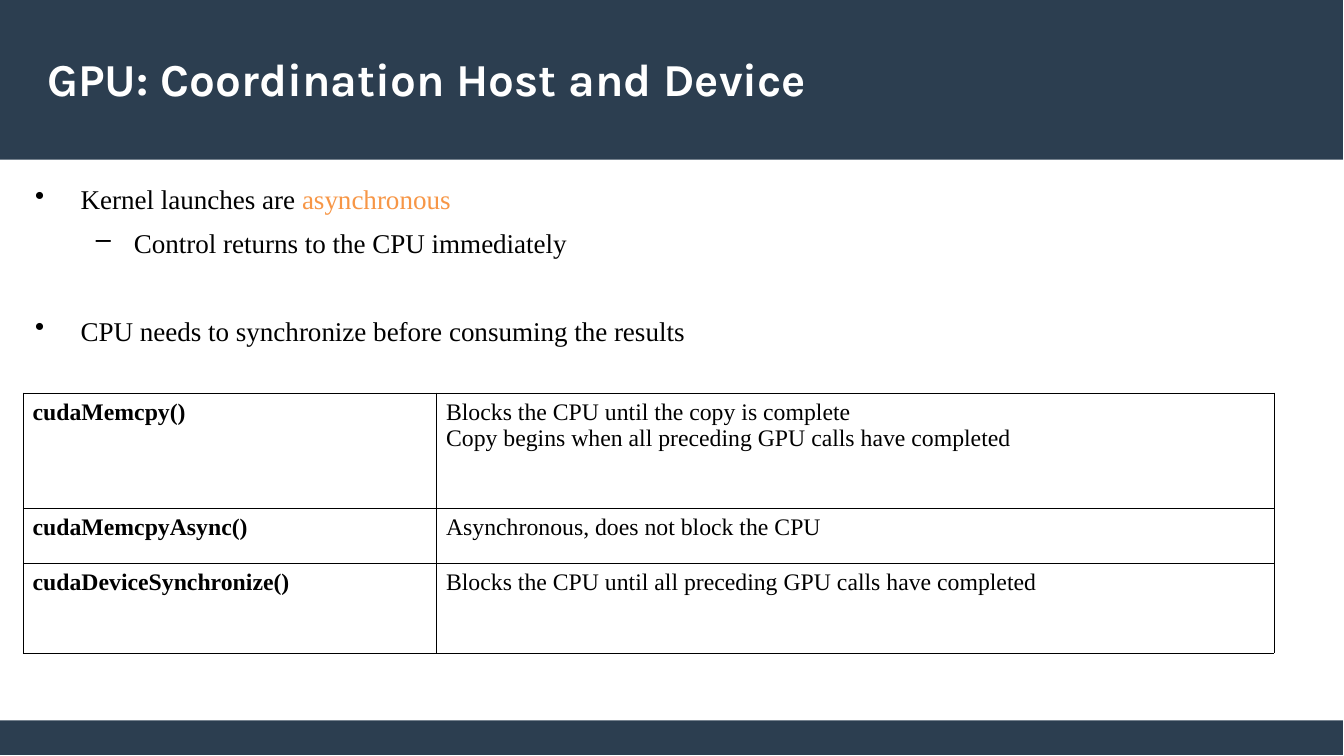
"""Build a slide on how GPU code coordinates host and device."""
from dataclasses import dataclass

from lxml.etree import SubElement
from pptx import Presentation
from pptx.dml.color import RGBColor as Rgb
from pptx.enum.shapes import MSO_SHAPE as Kind
from pptx.enum.text import MSO_ANCHOR as Anchor
from pptx.oxml.ns import qn
from pptx.util import Cm, Pt

NAVY, BLACK, WHITE, ORANGE = "2C3E50", "000000", "FFFFFF", "F79646"
SERIF = "Times New Roman"


@dataclass
class Bar:
    top: float
    height: float


@dataclass
class Point:
    runs: list[tuple[str, str]]
    mark: str = "•"
    level: int = 0
    left: float = 0.95
    hang: float = 0.95
    space: float = 0


@dataclass
class Row:
    call: str
    notes: list[str]
    height: float


BARS = [Bar(15.01, 0.72), Bar(0, 3.33)]
POINTS = [
    Point([("Kernel launches are ", BLACK), ("asynchronous", ORANGE)]),
    Point([("Control returns to the CPU immediately", BLACK)],
          "–", 1, 2.06, 0.79, 6.4),
    Point([("CPU needs to synchronize before consuming the results", BLACK)],
          space=33),
]
ROWS = [
    Row("cudaMemcpy()", ["Blocks the CPU until the copy is complete",
        "Copy begins when all preceding GPU calls have completed"], 2.41),
    Row("cudaMemcpyAsync()", ["Asynchronous, does not block the CPU"], 1.14),
    Row("cudaDeviceSynchronize()",
        ["Blocks the CPU until all preceding GPU calls have completed"], 1.88),
]


def paint(item, tone: str) -> None:
    """Give a fill or font a solid colour."""
    fill = item.fill if hasattr(item, "fill") else item
    fill.solid()
    fill.fore_color.rgb = Rgb.from_string(tone)


def style(font, size: float, name: str, tone: str, bold: bool = False) -> None:
    """Set the face of a paragraph."""
    font.size, font.name, font.bold = Pt(size), name, bold
    paint(font, tone)


def add_bar(slide, bar: Bar) -> None:
    """Draw a full-width band."""
    shape = slide.shapes.add_shape(
        Kind.RECTANGLE, 0, Cm(bar.top), Cm(27.97), Cm(bar.height))
    shape.shadow.inherit = False
    paint(shape, NAVY)
    shape.line.fill.background()


def add_title(slide, text: str) -> None:
    """Write the title in the top band."""
    frame = slide.shapes.add_textbox(
        Cm(0.99), Cm(0.64), Cm(25.96), Cm(1.96)).text_frame
    frame.word_wrap = True
    frame.vertical_anchor = Anchor.MIDDLE
    frame.margin_left = frame.margin_right = 0
    frame.margin_top = frame.margin_bottom = 0
    frame.text = text
    style(frame.paragraphs[0].font, 27, "Karla", WHITE, True)


def add_points(slide, points: list[Point]) -> None:
    """Write the bulleted list."""
    frame = slide.shapes.add_textbox(
        Cm(0.48), Cm(3.68), Cm(26.92), Cm(10.39)).text_frame
    frame.word_wrap = True
    for num, point in enumerate(points):
        para = frame.add_paragraph() if num else frame.paragraphs[0]
        para.level = point.level
        para.space_before = Pt(point.space)
        props = para._p.get_or_add_pPr()
        props.set("marL", str(Cm(point.left)))
        props.set("indent", str(-Cm(point.hang)))
        tint = SubElement(props, qn("a:buClr"))
        SubElement(tint, qn("a:srgbClr"), val=BLACK)
        SubElement(props, qn("a:buChar"), char=point.mark)
        style(para.font, 16, SERIF, BLACK)
        for text, tone in point.runs:
            run = para.add_run()
            run.text = text
            if tone != BLACK:
                paint(run.font, tone)


def fill_cell(cell, lines: list[str], bold: bool) -> None:
    """Write one bordered cell."""
    cell.margin_left = cell.margin_right = Cm(0.2)
    cell.margin_top = cell.margin_bottom = Cm(0.13)
    cell.text_frame.text = "\n".join(lines)
    for para in cell.text_frame.paragraphs:
        style(para.font, 14, SERIF, BLACK, bold)
    props = cell._tc.get_or_add_tcPr()
    for side in "LRTB":
        edge = SubElement(props, qn(f"a:ln{side}"), w=str(Pt(0.06)))
        ink = SubElement(edge, qn("a:solidFill"))
        SubElement(ink, qn("a:srgbClr"), val=BLACK)
    cell.fill.background()


def add_calls(slide, rows: list[Row]) -> None:
    """Draw the table of calls."""
    widths = [8.61, 17.45]
    table = slide.shapes.add_table(
        len(rows), len(widths), Cm(0.48), Cm(8.18), Cm(sum(widths)),
        Cm(sum(row.height for row in rows))).table
    table.first_row = table.horz_banding = False
    for col, width in zip(table.columns, widths):
        col.width = Cm(width)
    for num, row in enumerate(rows):
        table.rows[num].height = Cm(row.height)
        fill_cell(table.cell(num, 0), [row.call], True)
        fill_cell(table.cell(num, 1), row.notes, False)


def main() -> None:
    """Build and save the slide."""
    deck = Presentation()
    deck.slide_width, deck.slide_height = Cm(27.99), Cm(15.75)
    slide = deck.slides.add_slide(deck.slide_layouts[6])
    for bar in BARS:
        add_bar(slide, bar)
    add_points(slide, POINTS)
    add_calls(slide, ROWS)
    add_title(slide, "GPU: Coordination Host and Device")
    deck.save("out.pptx")


if __name__ == "__main__":
    main()
